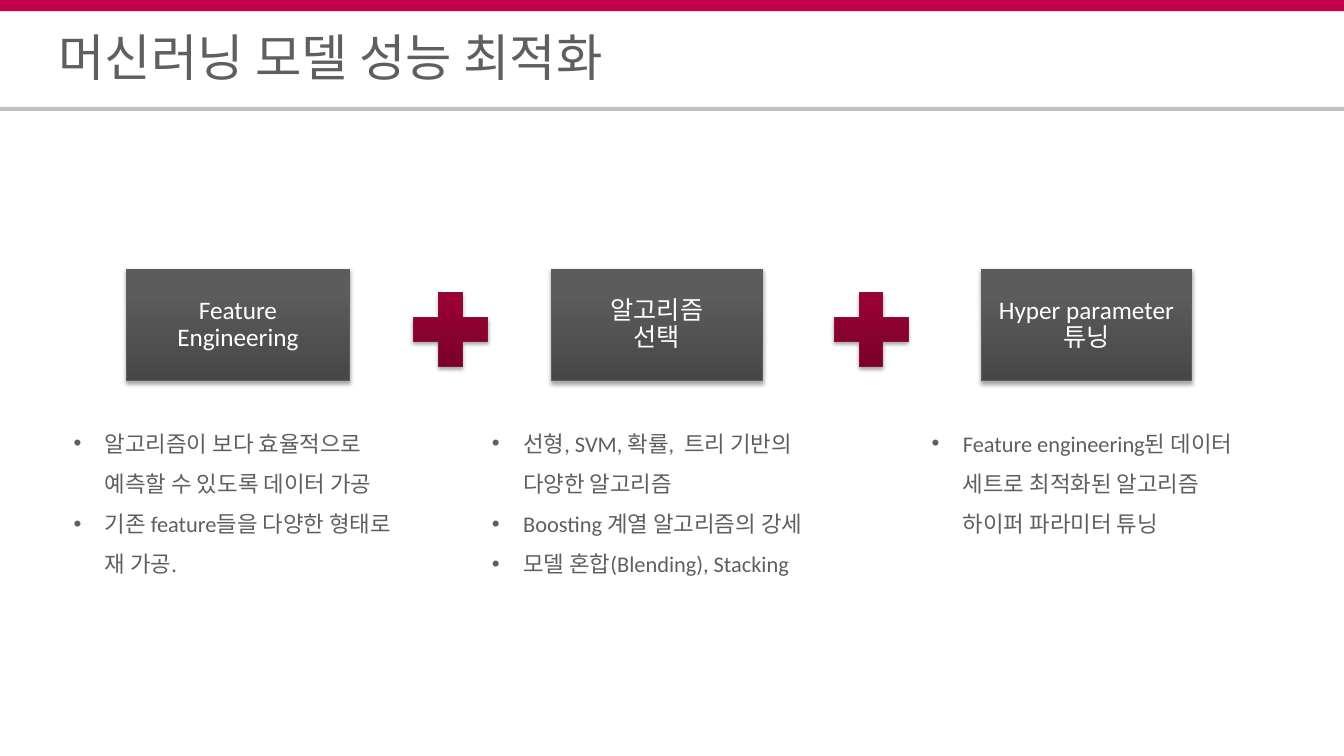
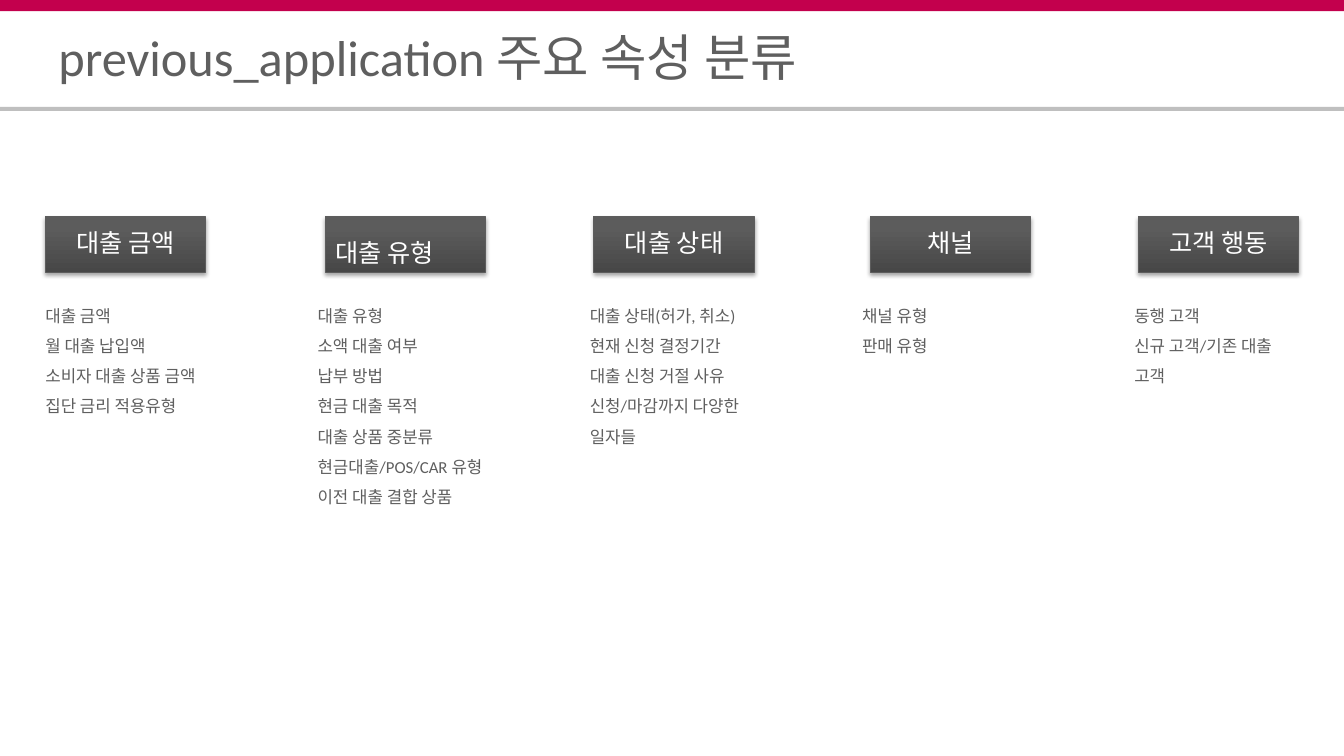
from dataclasses import dataclass

from lxml.etree import SubElement
from pptx import Presentation
from pptx.dml.color import RGBColor
from pptx.enum.shapes import MSO_SHAPE
from pptx.enum.text import MSO_ANCHOR, PP_ALIGN
from pptx.oxml.ns import qn
from pptx.util import Inches, Pt


@dataclass(frozen=True)
class Theme:
    font: str = "Calibri"
    text: str = "5F5F5F"
    white: str = "FFFFFF"
    accent: str = "C3004D"
    rule: str = "BFBFBF"
    # Bottom colour, top colour, outline
    gray: tuple = ("474747", "5C5C5C", "5D5D5D")
    wine: tuple = ("740128", "980133", "8A1039")
    title_size: int = 36
    heading_size: int = 18
    body_size: int = 16
    list_size: int = 12


class Deck:
    def __init__(self, theme):
        self.theme = theme
        self.presentation = Presentation()
        self.presentation.slide_width = Inches(13.33)
        self.presentation.slide_height = Inches(7.5)
        self.slide = None

    def new_slide(self, title):
        blank = self.presentation.slide_layouts[6]
        self.slide = self.presentation.slides.add_slide(blank)
        self.band(0, 0.11, self.theme.accent)
        self.band(1.06, 0.04, self.theme.rule)
        self.text((0.58, 0.33, 12.17, 0.58), [title], self.theme.title_size,
                  spacing=0.8, anchor=MSO_ANCHOR.MIDDLE)

    def shape(self, kind, box):
        shape = self.slide.shapes.add_shape(kind, *map(Inches, box))
        shape.shadow.inherit = False
        return shape

    def band(self, top, height, color):
        band = self.shape(MSO_SHAPE.RECTANGLE, (0, top, 13.33, height))
        band.fill.solid()
        band.fill.fore_color.rgb = RGBColor.from_string(color)
        band.line.fill.background()

    def raised(self, kind, box, colors):
        """Add a shape with an upward gradient and a soft shadow."""
        shape = self.shape(kind, box)
        bottom, top, outline = colors
        shape.fill.gradient()
        shape.fill.gradient_angle = 90
        for stop, position, color in zip(shape.fill.gradient_stops, (0, 0.8), (bottom, top)):
            stop.position = position
            stop.color.rgb = RGBColor.from_string(color)
        shape.line.color.rgb = RGBColor.from_string(outline)
        shape.line.width = Pt(0.75)

        effects = shape.element.spPr.find(qn("a:effectLst"))
        shadow = SubElement(effects, qn("a:outerShdw"), blurRad=str(Pt(3.1)),
                            dist=str(Pt(1.8)), dir="5400000", rotWithShape="0")
        black = SubElement(shadow, qn("a:srgbClr"), val="000000")
        SubElement(black, qn("a:alpha"), val="35000")
        return shape

    def heading(self, box, lines, align=PP_ALIGN.CENTER, spacing=0.9):
        heading = self.raised(MSO_SHAPE.RECTANGLE, box, self.theme.gray)
        heading.text_frame.vertical_anchor = MSO_ANCHOR.MIDDLE
        self.add_lines(heading.text_frame, lines, self.theme.heading_size,
                       self.theme.white, spacing, align)

    def plus(self, left, top):
        self.raised(MSO_SHAPE.MATH_PLUS, (left, top, 1, 1), self.theme.wine)

    def text(self, box, lines, size, spacing=1.5, anchor=MSO_ANCHOR.TOP,
             wrap=True, bullets=False):
        frame = self.slide.shapes.add_textbox(*map(Inches, box)).text_frame
        frame.margin_left = frame.margin_right = 0
        frame.margin_top = frame.margin_bottom = 0
        frame.word_wrap = wrap
        frame.vertical_anchor = anchor
        self.add_lines(frame, lines, size, self.theme.text, spacing,
                       PP_ALIGN.LEFT, bullets)

    def add_lines(self, frame, lines, size, color, spacing, align, bullets=False):
        for index, line in enumerate(lines):
            paragraph = frame.add_paragraph() if index else frame.paragraphs[0]
            if bullets:
                self.bullet(paragraph)
            paragraph.alignment = align
            paragraph.line_spacing = spacing
            run = paragraph.add_run()
            run.text = line
            run.font.name = self.theme.font
            run.font.size = Pt(size)
            run.font.color.rgb = RGBColor.from_string(color)

    def bullet(self, paragraph):
        properties = paragraph._p.get_or_add_pPr()
        indent = Inches(0.31)
        properties.set("marL", str(indent))
        properties.set("indent", str(-indent))
        SubElement(properties, qn("a:buFont"), typeface="Arial")
        SubElement(properties, qn("a:buChar"), char="•")


def optimization_slide(deck):
    deck.new_slide("머신러닝 모델 성능 최적화")

    # Heading left and width, heading lines, details left, details
    steps = [
        (1.25, 2.22, ["Feature Engineering"], 0.73,
         ["알고리즘이 보다 효율적으로 예측할 수 있도록 데이터 가공",
          "기존 feature들을 다양한 형태로 재 가공."]),
        (5.47, 2.09, ["알고리즘", "선택"], 4.88,
         ["선형, SVM, 확률,  트리 기반의 다양한 알고리즘",
          "Boosting 계열 알고리즘의 강세",
          "모델 혼합(Blending), Stacking"]),
        (9.73, 2.09, ["Hyper parameter 튜닝"], 9.24,
         ["Feature engineering된 데이터 세트로 최적화된 알고리즘 하이퍼 파라미터 튜닝"]),
    ]
    for left, width, name, details_left, details in steps:
        deck.heading((left, 2.67, width, 1.11), name)
        deck.text((details_left, 4.13, 3.27, 1.62), details,
                  deck.theme.body_size, bullets=True)

    # Plus signs between the steps
    for left in (3.97, 8.14):
        deck.plus(left, 2.77)


def attributes_slide(deck):
    deck.new_slide("previous_application 주요 속성 분류")

    # Heading left, heading, attributes
    categories = [
        (0.45, "대출 금액",
         ["대출 금액", "월 대출 납입액", "소비자 대출 상품 금액", "집단 금리 적용유형"]),
        (3.23, "대출 유형",
         ["대출 유형", "소액 대출 여부", "납부 방법", "현금 대출 목적",
          "대출 상품 중분류", "현금대출/POS/CAR 유형", "이전 대출 결합 상품"]),
        (5.89, "대출 상태",
         ["대출 상태(허가, 취소)", "현재 신청 결정기간", "대출 신청 거절 사유",
          "신청/마감까지 다양한 일자들"]),
        (8.63, "채널", ["채널 유형", "판매 유형"]),
        (11.29, "고객 행동", ["동행 고객", "신규 고객/기존 대출 고객"]),
    ]
    # The loan type heading is set to the left with wide line spacing
    heading_styles = {"대출 유형": {"align": PP_ALIGN.LEFT, "spacing": 1.5}}
    for column, (left, name, attributes) in enumerate(categories):
        deck.heading((left, 2.15, 1.59, 0.55), [name], **heading_styles.get(name, {}))
        deck.text((0.45 + 2.7 * column, 2.93, 1.66, 1.89), attributes,
                  deck.theme.list_size, wrap=False)


def main():
    deck = Deck(Theme())
    optimization_slide(deck)
    attributes_slide(deck)
    deck.presentation.save("out.pptx")


if __name__ == "__main__":
    main()
